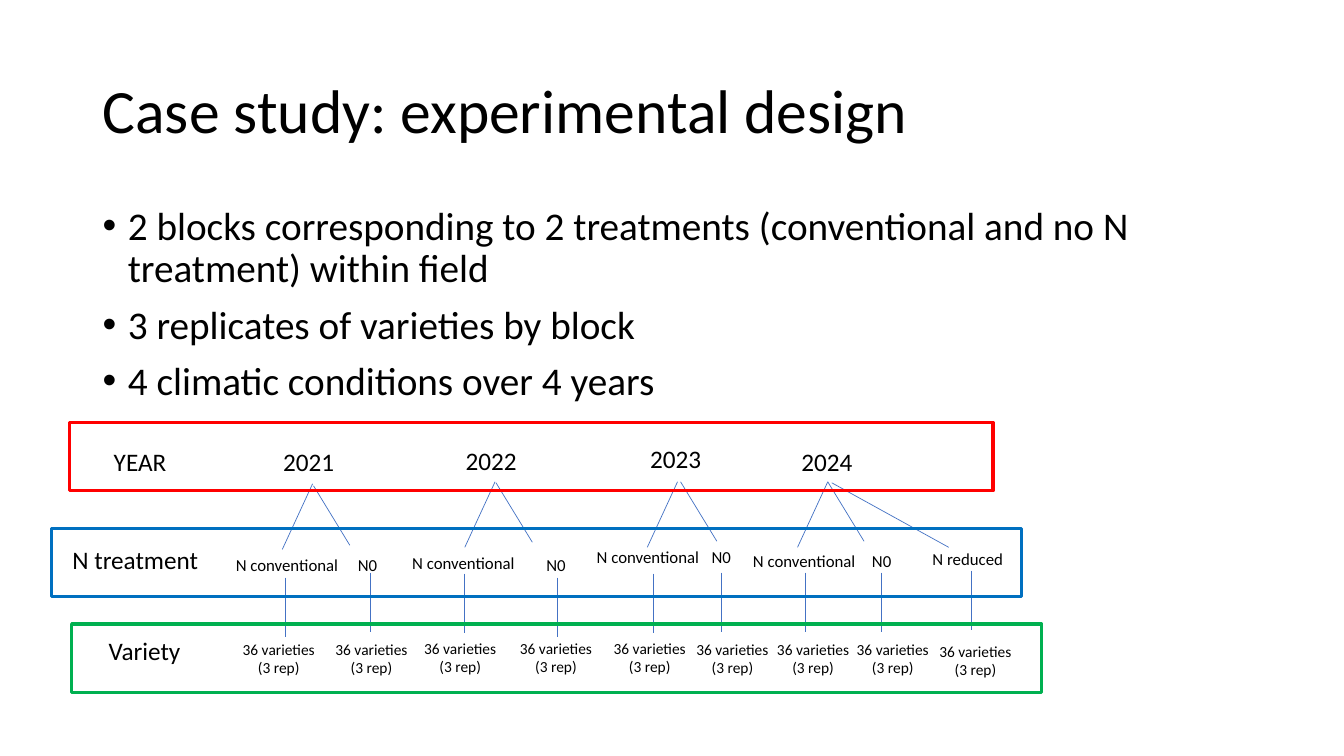
import pptx
import pptx.util
import pptx.dml.color
import pptx.enum.shapes
import pptx.enum.text
from lxml import etree
from pptx.oxml.ns import qn

Inches, Pt = pptx.util.Inches, pptx.util.Pt
ALIGN, ANCHOR = pptx.enum.text.PP_ALIGN, pptx.enum.text.MSO_ANCHOR

# Content
TITLE = "Case study: experimental design"
POINTS = [
    "2 blocks corresponding to 2 treatments (conventional and no N treatment) within field",
    "3 replicates of varieties by block",
    "4 climatic conditions over 4 years",
]
PLOT = ["36 varieties", "(3 rep)"]
# Level: label, label box, frame box, frame colour
LEVELS = [
    ("YEAR", (1.03, 4.38, 0.83, 0.4), (0.69, 4.19, 9.16, 0.68), "FF0000"),
    ("N treatment", (0.62, 5.35, 1.46, 0.4), (0.51, 5.24, 9.62, 0.68), "0070C0"),
    ("Variety", (0.98, 6.25, 1.07, 0.4), (0.71, 6.19, 9.62, 0.68), "00B050"),
]
YEARS = [("2021", 2.71, 4.38), ("2022", 4.52, 4.37), ("2023", 6.35, 4.35), ("2024", 7.85, 4.38)]
# Treatment: width of its label, run and drop of its branch
KINDS = {
    "N conventional": (1.24, -0.3, 0.65),
    "N0": (0.42, 0.36, 0.59),
    "N reduced": (1.15, 1.16, 0.64),
}
# Treatment, then left and top of: label, branch, stem, variety label
PLOTS = [
    ("N conventional", (2.24, 5.45), (3.1, 4.8), (2.83, 5.73), (2.3, 6.3)),
    ("N0", (3.45, 5.45), (3.11, 4.82), (3.67, 5.68), (3.22, 6.3)),
    ("N conventional", (3.99, 5.43), (4.91, 4.78), (4.61, 5.69), (4.1, 6.29)),
    ("N0", (5.32, 5.45), (4.92, 4.79), (5.53, 5.73), (5.05, 6.29)),
    ("N conventional", (5.82, 5.37), (6.72, 4.78), (6.48, 5.69), (5.98, 6.29)),
    ("N0", (6.96, 5.37), (6.75, 4.78), (7.15, 5.68), (6.8, 6.3)),
    ("N conventional", (7.37, 5.41), (8.21, 4.78), (7.99, 5.68), (7.6, 6.3)),
    ("N0", (8.55, 5.41), (8.21, 4.78), (8.74, 5.68), (8.39, 6.3)),
    ("N reduced", (9.15, 5.39), (8.25, 4.79), (9.63, 5.66), (9.21, 6.32)),
]
STEM = 0.59

deck = pptx.Presentation()
deck.slide_width, deck.slide_height = Inches(13.33), Inches(7.5)
slide = deck.slides.add_slide(deck.slide_layouts[6])


def tint(code):
    return pptx.dml.color.RGBColor.from_string(code)


def write(lines, box, size=18, align=ALIGN.LEFT, anchor=ANCHOR.TOP, space=None, gap=0, bullet=False):
    frame = slide.shapes.add_textbox(*map(Inches, box)).text_frame
    frame.word_wrap = True
    frame.vertical_anchor = anchor
    for i, line in enumerate(lines):
        para = frame.paragraphs[0] if i == 0 else frame.add_paragraph()
        para.text = line
        para.alignment = align
        if space:
            para.line_spacing = space
        if i and gap:
            para.space_before = Pt(gap)
        if bullet:
            props = para._p.get_or_add_pPr()
            props.set("marL", str(Inches(0.25)))
            props.set("indent", str(-Inches(0.25)))
            etree.SubElement(props, qn("a:buFont")).set("typeface", "Arial")
            etree.SubElement(props, qn("a:buChar")).set("char", "•")
        para.font.name = "Calibri"
        para.font.size = Pt(size)
        para.font.color.rgb = tint("000000")


def link(x, y, run, drop):
    line = slide.shapes.add_connector(
        pptx.enum.shapes.MSO_CONNECTOR.STRAIGHT,
        Inches(x), Inches(y), Inches(x + run), Inches(y + drop))
    line.line.color.rgb = tint("4472C4")
    line.line.width = Pt(0.5)
    etree.SubElement(line._element.spPr, qn("a:effectLst"))


# Title and points
write([TITLE], (0.92, 0.4, 11.5, 1.45), size=44, anchor=ANCHOR.MIDDLE, space=0.9)
write(POINTS, (0.92, 2, 11.5, 2.35), size=28, space=0.9, gap=10, bullet=True)

# Tree: years, treatments, varieties
for year, x, y in YEARS:
    write([year], (x, y, 1.16, 0.4))
for kind, label, fork, stem, leaf in PLOTS:
    width, run, drop = KINDS[kind]
    link(*fork, run, drop)
    write([kind], (*label, width, 0.3), size=12)
    link(*stem, 0, STEM)
    write(PLOT, (*leaf, 0.93, 0.47), size=11, align=ALIGN.CENTER)

# Level labels and frames
for name, spot, box, code in LEVELS:
    write([name], spot)
    rect = slide.shapes.add_shape(pptx.enum.shapes.MSO_SHAPE.RECTANGLE, *map(Inches, box))
    rect.shadow.inherit = False
    rect.fill.background()
    rect.line.color.rgb = tint(code)
    rect.line.width = Pt(2.25)

deck.save("out.pptx")
